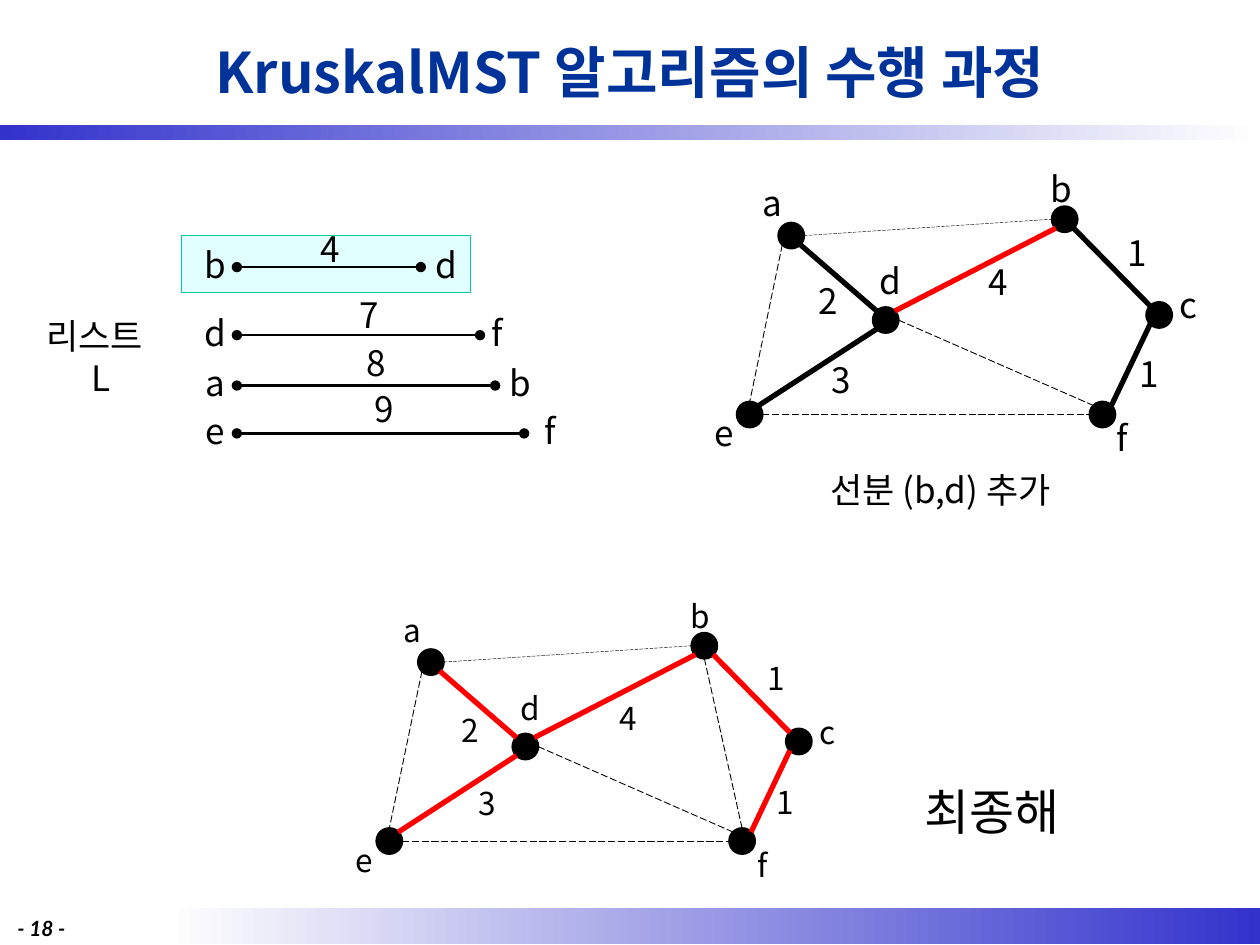
import math
from dataclasses import dataclass

from lxml import etree
from pptx import Presentation
from pptx.dml.color import RGBColor
from pptx.enum.dml import MSO_LINE
from pptx.enum.shapes import MSO_CONNECTOR, MSO_SHAPE
from pptx.enum.text import MSO_ANCHOR, PP_ALIGN
from pptx.oxml.ns import qn
from pptx.util import Inches, Pt

LEFT, CENTER = PP_ALIGN.LEFT, PP_ALIGN.CENTER
MIDDLE, TOP = MSO_ANCHOR.MIDDLE, MSO_ANCHOR.TOP
STRAIGHT = MSO_CONNECTOR.STRAIGHT
LONG_DASH = MSO_LINE.LONG_DASH
RECT, OVAL = MSO_SHAPE.RECTANGLE, MSO_SHAPE.OVAL

COLS, ROWS, CELL = 100, 75, 0.1  # slide grid, cell side in inches


@dataclass(frozen=True)
class Theme:
    font: str = "Noto Sans CJK KR"
    page_font: str = "Lato"
    ink: str = "000000"
    title: str = "003399"
    band: str = "3333CC"
    paper: str = "FFFFFF"
    chosen: str = "FF0000"
    box_fill: str = "E1FFFF"
    box_line: str = "00CC99"
    title_size: int = 32
    result_size: int = 28
    body_size: int = 20
    small_size: int = 18
    page_size: int = 12


T = Theme()

RADIUS = 1
NODES = {"a": (62.8, 18.7), "b": (84.5, 17.4), "d": (70.3, 25.4),
         "e": (59.5, 32.9), "c": (92, 25), "f": (87.5, 32.9)}
NAME_CENTERS = {"a": (61.3, 16.1), "b": (84.2, 15), "c": (94.3, 24.2),
                "d": (70.7, 22.3), "e": (57.5, 34.4), "f": (89.1, 34.8)}
# Edges: start node, angle on its rim, end node, angle on its rim (0 = right, clockwise)
TREE = [("a", 45, "d", 225), ("d", 135, "e", 315), ("d", 315, "b", 135),
        ("c", 225, "b", 45), ("f", 315, "c", 135)]
UNUSED = [("a", 135, "e", 270, 0.5), ("d", 0, "f", 225, 0.5),
          ("e", 0, "f", 180, 0.5), ("a", 0, "b", 180, 0.25)]
B_TO_F = ("b", 90, "f", 270, 0.5)
WEIGHTS = ["1", "1", "2", "3", "4"]
STEP_WEIGHTS = [(90.3, 20.1), (91.2, 29.7), (65.7, 23.9), (66.8, 30.2), (79.2, 22.4)]
FINAL_WEIGHTS = [(61.6, 53.8), (62.3, 63.6), (37.3, 57.9), (38.7, 63.7), (49.9, 57)]
FINAL_SHIFT = (-28.6, 33.85)

# Remaining edges: ends, weight, row, right end, weight centre, right name centre
LIST_LEFT, LIST_NAME = 18.8, 17.1
LIST = [("b", "d", "4", 21.2, 33.4, (26.2, 19.8), 35.4),
        ("d", "f", "7", 26.6, 38.1, (29.3, 25), 39.5),
        ("a", "b", "8", 30.6, 39.3, (29.9, 28.8), 41.3),
        ("e", "f", "9", 34.4, 41.6, (30.5, 32.5), 43.7)]


def grid(*cells):
    return [Inches(c * CELL) for c in cells]


def rgb(code):
    return RGBColor.from_string(code)


def add_text(shapes, box, lines, size=T.body_size, align=LEFT, anchor=TOP,
             font=T.font, color=T.ink, wrap=True, **style):
    """Add a text box; each line is a string or a (string, alignment) pair."""
    tf = shapes.add_textbox(*grid(*box)).text_frame
    tf.word_wrap = wrap
    tf.vertical_anchor = anchor
    for i, line in enumerate(lines):
        text, line_align = line if isinstance(line, tuple) else (line, align)
        p = tf.paragraphs[0] if i == 0 else tf.add_paragraph()
        p.alignment = line_align
        r = p.add_run()
        r.text = text
        for name, value in {"name": font, "size": Pt(size), **style}.items():
            setattr(r.font, name, value)
        r.font.color.rgb = rgb(color)
        etree.SubElement(r.font._element, qn("a:ea"), typeface=font)


def add_label(shapes, center, text, size=T.body_size):
    w, h = 3.7, size * 0.22
    add_text(shapes, (center[0] - w / 2, center[1] - h / 2, w, h), [text],
             size, CENTER, wrap=False)


def add_shape(shapes, kind, box, fill, line, width):
    sp = shapes.add_shape(kind, *grid(*box))
    sp.shadow.inherit = False
    sp.fill.solid()
    sp.fill.fore_color.rgb = rgb(fill)
    sp.line.color.rgb = rgb(line)
    sp.line.width = Pt(width)


def add_band(shapes, box, colors):
    """Add a bar that fades from left to right."""
    sp = shapes.add_shape(RECT, *grid(*box))
    sp.shadow.inherit = False
    sp.line.fill.background()
    sp.fill.gradient()
    sp.fill.gradient_angle = 0
    for stop, color in zip(sp.fill.gradient_stops, colors):
        stop.color.rgb = rgb(color)


def add_line(shapes, start, end, width, color=T.ink, dash=None, dots=False):
    """Add a straight line, with round dots at both ends if asked."""
    line = shapes.add_connector(STRAIGHT, *grid(*start, *end))
    line.line.color.rgb = rgb(color)
    line.line.width = Pt(width)
    if dash:
        line.line.dash_style = dash
    if dots:
        ln = line.line._get_or_add_ln()
        for tag in ("a:headEnd", "a:tailEnd"):
            etree.SubElement(ln, qn(tag), type="oval")
    etree.SubElement(line._element.spPr, qn("a:effectLst"))


def add_graph(shapes, shift, chosen, unused, weight_centers, size):
    """Draw the graph moved by shift, with the chosen tree edges in red."""
    def moved(point):
        return point[0] + shift[0], point[1] + shift[1]

    def rim(node, angle):
        x, y = moved(NODES[node])
        a = math.radians(angle)
        return x + RADIUS * math.cos(a), y + RADIUS * math.sin(a)

    for x, y in map(moved, NODES.values()):
        add_shape(shapes, OVAL, (x - RADIUS, y - RADIUS, 2 * RADIUS, 2 * RADIUS),
                  T.ink, T.ink, 1.5)
    for u, out, v, into, width in unused:
        add_line(shapes, rim(u, out), rim(v, into), width, dash=LONG_DASH)
    for edge in TREE:
        u, out, v, into = edge
        color = T.chosen if edge in chosen else T.ink
        add_line(shapes, rim(u, out), rim(v, into), 3, color)
    for name, center in NAME_CENTERS.items():
        add_label(shapes, moved(center), name, size)
    for weight, center in zip(WEIGHTS, weight_centers):
        add_label(shapes, center, weight, size)


def add_edge_list(shapes):
    add_shape(shapes, RECT, (14.4, 18.7, 22.9, 4.5), T.box_fill, T.box_line, 0.25)
    for u, v, weight, y, right, weight_center, name_x in LIST:
        add_line(shapes, (right, y), (LIST_LEFT, y), 1.5, dots=True)
        add_label(shapes, (LIST_NAME, y - 0.2), u)
        add_label(shapes, (name_x, y - 0.2), v)
        add_label(shapes, weight_center, weight)
    add_text(shapes, (2.7, 24.5, 10.7, 7.7), ["리스트", ("L", CENTER)])


def add_frame(shapes):
    """Add the bands, title and page number."""
    add_band(shapes, (13.3, 72.1, COLS - 13.3, 2.8), (T.paper, T.band))
    add_band(shapes, (0, 9.9, COLS, 1.2), (T.band, T.paper))
    add_text(shapes, (7.5, 0.5, COLS - 15, 10.3), ["KruskalMST 알고리즘의 수행 과정"],
             T.title_size, CENTER, MIDDLE, color=T.title, bold=True)
    add_text(shapes, (0.4, 72.2, 7.1, 2.4), ["- 18 -"], T.page_size,
             font=T.page_font, bold=True, italic=True)


def main():
    prs = Presentation()
    prs.slide_width, prs.slide_height = grid(COLS, ROWS)
    shapes = prs.slides.add_slide(prs.slide_layouts[6]).shapes
    add_frame(shapes)
    add_graph(shapes, (0, 0), [TREE[2]], UNUSED, STEP_WEIGHTS, T.body_size)
    add_edge_list(shapes)
    add_text(shapes, (64.9, 36.7, 22.5, 4.4), ["선분 (b,d) 추가"])
    add_graph(shapes.add_group_shape().shapes, FINAL_SHIFT, TREE, UNUSED + [B_TO_F],
              FINAL_WEIGHTS, T.small_size)
    add_text(shapes, (67.5, 61.5, 22.5, 5.7), ["최종해"], T.result_size, CENTER)
    prs.save("out.pptx")


if __name__ == "__main__":
    main()
